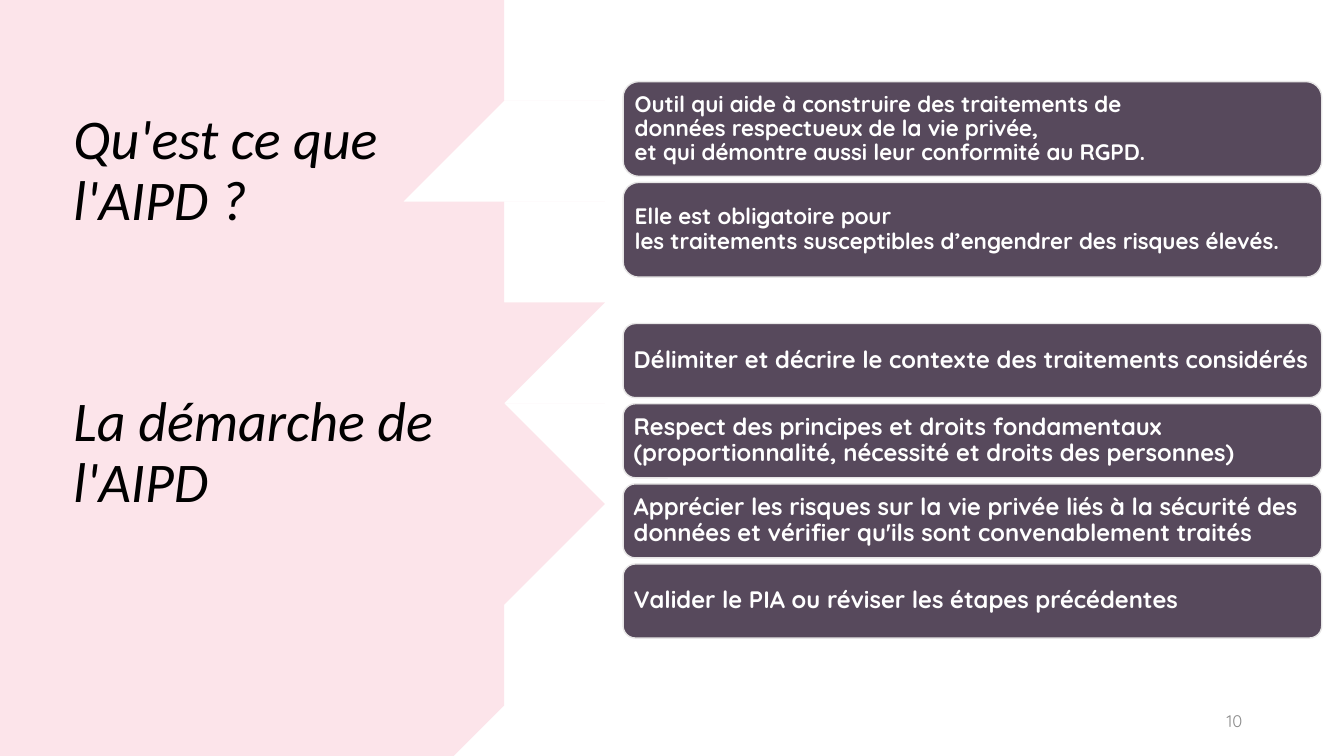
import pptx
import pptx.dml.color
import pptx.enum.shapes
import pptx.enum.text
import pptx.oxml
import pptx.oxml.ns
import pptx.util
from pptx.util import Inches

COLOURS = {"brush": "F07C98", "card": "57495C", "card_line": "E7E6E6",
           "title": "000000", "card_text": "FFFFFF", "number": "8C8C8C"}
BRUSH_OPACITY = 20
CARD_GAP = 0.06

# Tips and notches along the right edge of the brush stroke, from top to bottom.
BRUSH_EDGE = [
    (4.92, 0), (4.59, 0.12), (4.98, 0.12), (4.72, 0.25), (4.64, 0.41), (4.97, 0.4),
    (5.18, 0.38), (5.16, 0.53), (4.94, 0.61), (5.3, 0.56), (6.02, 0.51), (5.04, 1),
    (5.12, 1.09), (4.78, 1.31), (4.92, 1.47), (4.5, 1.75), (4.65, 1.81), (4.34, 2.17),
    (4.4, 2.31), (4.73, 2.27), (4.35, 2.42), (4.8, 2.37), (5.57, 2.07), (5.06, 2.4),
    (4.87, 2.63), (4.52, 2.71), (4.56, 2.79), (4.79, 2.76), (4.88, 2.85), (5.32, 2.79),
    (5.48, 3.12), (5.85, 3.22), (5.26, 3.64), (5.66, 3.53), (5.71, 3.71), (5.45, 4.06),
    (5.5, 4.56), (5.67, 4.6), (5.7, 4.83), (6, 4.79), (5.67, 5.05), (6.02, 5.05),
    (5.38, 5.64), (5.77, 5.46), (5.28, 5.95), (5.1, 6.32), (5.31, 6.29), (4.75, 6.78),
    (5.32, 6.65), (4.96, 6.96), (4.85, 7.03), (4.75, 7.25), (4.29, 7.5),
]

# Each section: title, title box, cards box, card text size, card texts (\v breaks a line).
SECTIONS = [
    ("Qu'est ce que l'AIPD ?", (0.63, 0.9, 4.49, 1.87), (6.18, 0.81, 6.93, 1.94), 16, [
        "Outil qui aide à construire des traitements de\vdonnées respectueux de la vie privée,"
        "\vet qui démontre aussi leur conformité au RGPD.",
        "Elle est obligatoire pour\vles traitements susceptibles d’engendrer des risques élevés.",
    ]),
    ("La démarche de l'AIPD", (0.63, 3.7, 4.49, 1.87), (6.18, 3.21, 6.93, 3.12), 17, [
        "Délimiter et décrire le contexte des traitements considérés",
        "Respect des principes et droits fondamentaux "
        "(proportionnalité, nécessité et droits des personnes)",
        "Apprécier les risques sur la vie privée liés à la sécurité des données "
        "et vérifier qu'ils sont convenablement traités",
        "Valider le PIA ou réviser les étapes précédentes",
    ]),
]


def colour(name):
    return pptx.dml.color.RGBColor.from_string(COLOURS[name])


def set_values(target, values):
    for name, value in values.items():
        setattr(target, name, value)


def write_text(shape, text, colour_name, font, paragraph_values, frame_values):
    """Fill a shape with one vertically centred, wrapped paragraph."""
    frame = shape.text_frame
    set_values(frame, {"word_wrap": True,
                       "vertical_anchor": pptx.enum.text.MSO_ANCHOR.MIDDLE, **frame_values})
    paragraph = frame.paragraphs[0]
    paragraph.text = text
    set_values(paragraph, paragraph_values)
    for run in paragraph.runs:
        set_values(run.font, font)
        run.font.color.rgb = colour(colour_name)


def add_brush(slide, left, top, height):
    builder = slide.shapes.build_freeform(0, 0, scale=Inches(1))
    builder.add_line_segments([*BRUSH_EDGE, (0, height)], close=True)
    brush = builder.convert_to_shape(Inches(left), Inches(top))
    brush.shadow.inherit = False
    brush.fill.solid()
    brush.fill.fore_color.rgb = colour("brush")
    brush.line.fill.background()
    fill_colour = brush._element.spPr.find(".//" + pptx.oxml.ns.qn("a:srgbClr"))
    fill_colour.append(pptx.oxml.parse_xml(
        f'<a:alpha {pptx.oxml.ns.nsdecls("a")} val="{BRUSH_OPACITY * 1000}"/>'))


def add_title(slide, box, text):
    title = slide.shapes.add_textbox(*map(Inches, box))
    write_text(title, text, "title",
               {"name": "Calibri", "size": pptx.util.Pt(40), "italic": True},
               {"line_spacing": 0.9}, {"margin_bottom": Inches(0.31)})


def add_cards(slide, box, texts, size):
    """Stack equal cards over the height of the box."""
    left, top, width, height = box
    card_height = (height - CARD_GAP * (len(texts) - 1)) / len(texts)
    margins = {f"margin_{side}": Inches(0.07) for side in ("left", "top", "right", "bottom")}
    for index, text in enumerate(texts):
        card_top = top + index * (card_height + CARD_GAP)
        card = slide.shapes.add_shape(
            pptx.enum.shapes.MSO_SHAPE.ROUNDED_RECTANGLE,
            *map(Inches, (left, card_top, width, card_height)))
        card.shadow.inherit = False
        card.fill.solid()
        card.fill.fore_color.rgb = colour("card")
        card.line.color.rgb = colour("card_line")
        card.line.width = pptx.util.Pt(1)
        write_text(card, text, "card_text",
                   {"name": "Quicksand", "size": pptx.util.Pt(size), "bold": True},
                   {"line_spacing": 0.9, "alignment": pptx.enum.text.PP_ALIGN.LEFT}, margins)


def add_slide_number(slide, box, number):
    number_box = slide.shapes.add_textbox(*map(Inches, box))
    write_text(number_box, str(number), "number",
               {"name": "Quicksand", "size": pptx.util.Pt(12)},
               {"alignment": pptx.enum.text.PP_ALIGN.RIGHT}, {})


def main():
    presentation = pptx.Presentation()
    presentation.slide_width = Inches(13.33)
    presentation.slide_height = Inches(7.5)
    slide = presentation.slides.add_slide(presentation.slide_layouts[6])
    add_brush(slide, 0, 0, 7.5)
    for title, title_box, cards_box, size, texts in SECTIONS:
        add_title(slide, title_box, title)
        add_cards(slide, cards_box, texts, size)
    add_slide_number(slide, (9.42, 6.95, 3, 0.4), 10)
    presentation.save("out.pptx")


if __name__ == "__main__":
    main()
